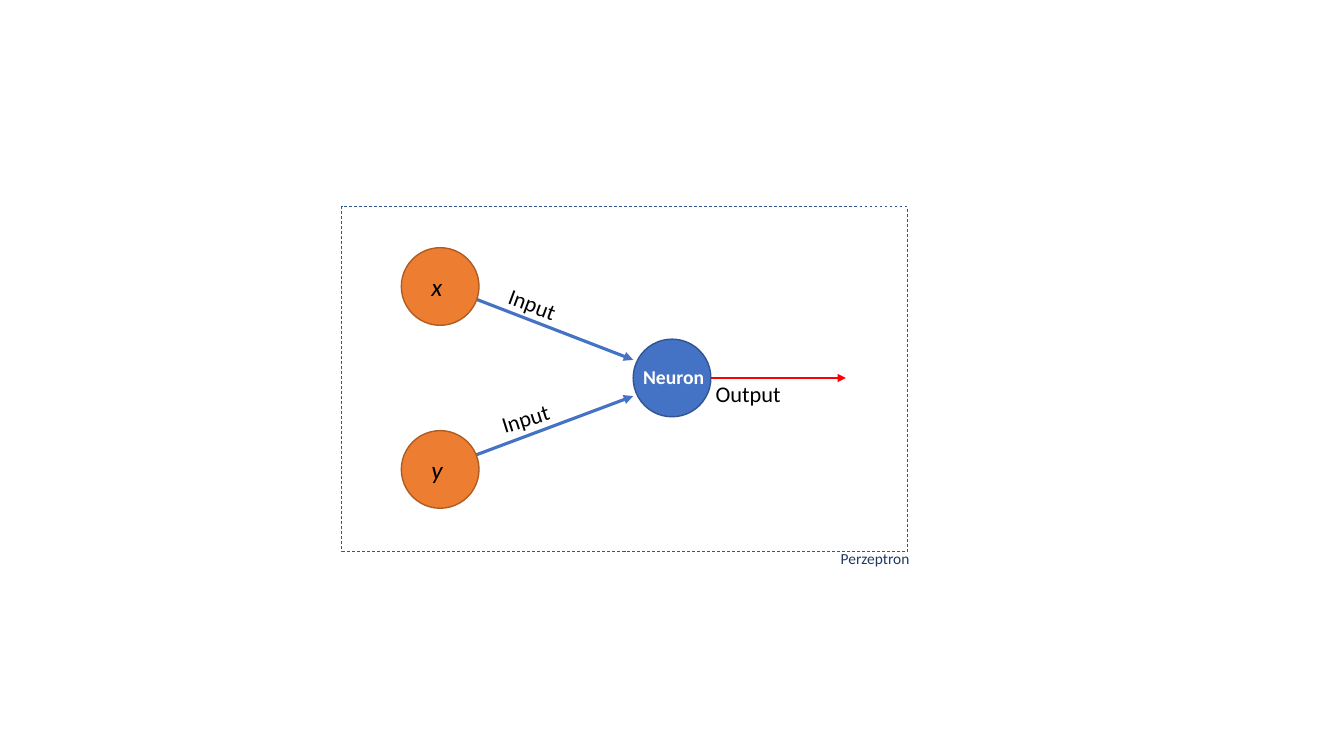
from dataclasses import dataclass, field

from lxml.etree import SubElement
from pptx import Presentation
from pptx.dml.color import RGBColor
from pptx.enum.dml import MSO_LINE_DASH_STYLE as Dash
from pptx.enum.shapes import MSO_CONNECTOR as Link, MSO_SHAPE as Preset
from pptx.enum.text import MSO_AUTO_SIZE as AutoSize
from pptx.oxml.ns import qn
from pptx.util import Inches, Pt

COLORS = {
    "neuron": "4472C4",
    "neuron_edge": "325491",
    "input": "ED7D31",
    "input_edge": "AF5C24",
    "output": "FF0000",
    "text": "000000",
    "neuron_text": "FFFFFF",
    "caption": "203864",
}

deck = Presentation()
deck.slide_width, deck.slide_height = Inches(13.33), Inches(7.5)
slide = deck.slides.add_slide(deck.slide_layouts[6])

NODE_WIDTH, NODE_HEIGHT = 5.78, 10.27
INPUT_X, NEURON_X, AXIS_Y = 32.75, 50, 50
INPUT_RISE = 12.1


@dataclass
class Box:
    left: float
    top: float
    width: float
    height: float

    def emu(self) -> tuple[int, int, int, int]:
        return (*place(self.left, self.top), *place(self.width, self.height))


@dataclass
class Label:
    text: str
    box: Box
    size: float = 16
    color: str = "text"
    rotation: float = 0
    style: dict[str, bool] = field(default_factory=dict)


@dataclass
class Arrow:
    start: tuple[float, float]
    end: tuple[float, float]
    color: str
    weight: float


def place(x: float, y: float) -> tuple[int, int]:
    return int(deck.slide_width * x / 100), int(deck.slide_height * y / 100)


def rgb(name: str) -> RGBColor:
    return RGBColor.from_string(COLORS[name])


def centred(x: float, y: float, width: float, height: float) -> Box:
    return Box(x - width / 2, y - height / 2, width, height)


def apply(target: object, formats: dict[str, object]) -> None:
    for attribute, value in formats.items():
        setattr(target, attribute, value)


def draw_outline(preset: Preset, box: Box, edge: str, weight: float, fill: str = ""):
    outline = slide.shapes.add_shape(preset, *box.emu())
    outline.shadow.inherit = False
    if fill:
        outline.fill.solid()
        outline.fill.fore_color.rgb = rgb(fill)
    else:
        outline.fill.background()
    outline.line.color.rgb = rgb(edge)
    outline.line.width = Pt(weight)
    return outline


def draw_node(x: float, y: float, kind: str) -> None:
    draw_outline(Preset.FLOWCHART_CONNECTOR, centred(x, y, NODE_WIDTH, NODE_HEIGHT),
                 f"{kind}_edge", 1, kind)


def draw_arrow(arrow: Arrow) -> None:
    link = slide.shapes.add_connector(Link.STRAIGHT, *place(*arrow.start), *place(*arrow.end))
    link.line.color.rgb = rgb(arrow.color)
    link.line.width = Pt(arrow.weight)
    SubElement(link.line._get_or_add_ln(), qn("a:tailEnd"), type="triangle")
    SubElement(link._element.spPr, qn("a:effectLst"))


def draw_label(label: Label) -> None:
    holder = slide.shapes.add_textbox(*label.box.emu())
    holder.rotation = label.rotation
    apply(holder.text_frame, {"word_wrap": True, "auto_size": AutoSize.SHAPE_TO_FIT_TEXT})
    run = holder.text_frame.paragraphs[0].add_run()
    run.text = label.text
    apply(run.font, {"name": "Calibri", "size": Pt(label.size), **label.style})
    run.font.color.rgb = rgb(label.color)


input_rows = {"x": AXIS_Y - INPUT_RISE, "y": AXIS_Y + INPUT_RISE}
neuron_left, neuron_right = NEURON_X - NODE_WIDTH / 2, NEURON_X + NODE_WIDTH / 2

arrows = [
    Arrow((30.98, 36.53), (neuron_left, AXIS_Y - 2.4), "neuron", 2.25),
    Arrow((30.46, 63.47), (neuron_left, AXIS_Y + 2.4), "neuron", 2.25),
]
labels = [
    *(Label(name, centred(INPUT_X, row, 2.78, 5.33), 18, style={"italic": True})
      for name, row in input_rows.items()),
    Label("Neuron", Box(neuron_left, 47.6, 8.33, 4.53), 14, "neuron_text", style={"bold": True}),
    Label("Input", Box(37.06, 38, 5.78, 4.93), rotation=20.4),
    Label("Output", Box(52.51, 49.6, 7.35, 4.93)),
    Label("Input", Box(36.53, 52.67, 5.78, 4.93), rotation=342.4),
    Label("Perzeptron", Box(61.82, 72, 10.65, 3.87), 11, "caption"),
]

draw_node(NEURON_X, AXIS_Y, "neuron")
for arrow in arrows:
    draw_arrow(arrow)
for row in input_rows.values():
    draw_node(INPUT_X, row, "input")
draw_arrow(Arrow((neuron_right, AXIS_Y), (62.94, AXIS_Y), "output", 1.5))
for label in labels:
    draw_label(label)
perceptron = draw_outline(Preset.RECTANGLE, Box(25.43, 27.33, 42.09, 45.6), "neuron_edge", 0.5)
perceptron.line.dash_style = Dash.DASH

deck.save("out.pptx")
